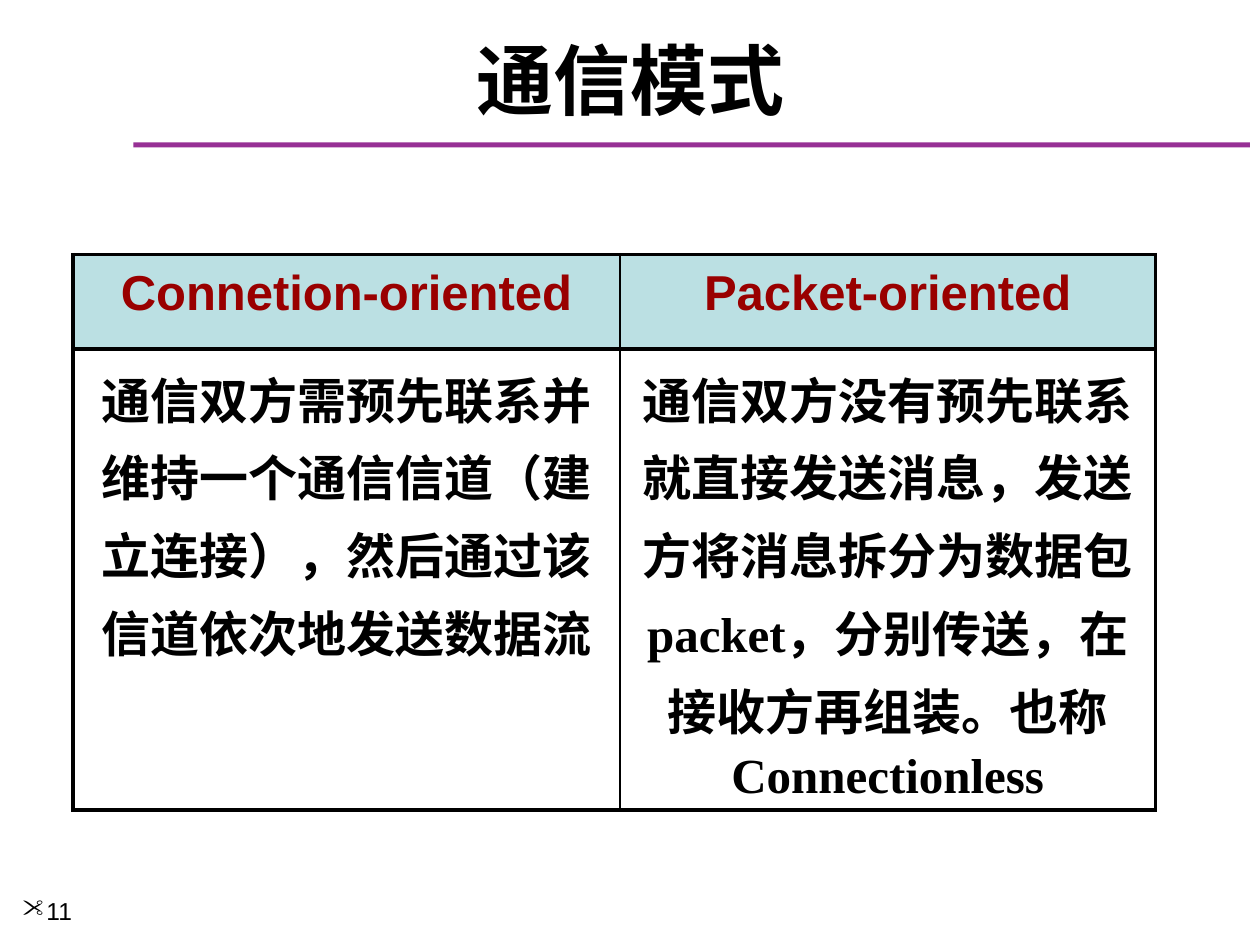
from dataclasses import dataclass

from lxml.etree import SubElement
from pptx import Presentation
from pptx.dml.color import RGBColor as Color
from pptx.enum.shapes import MSO_SHAPE as Shape
from pptx.enum.text import MSO_ANCHOR as Anchor, PP_ALIGN as Align
from pptx.oxml import parse_xml
from pptx.oxml.ns import nsdecls, qn
from pptx.util import Inches, Pt


@dataclass(frozen=True)
class Theme:
    ink: str = "000000"
    accent: str = "990000"
    rule: str = "973095"
    header: str = "BBE0E3"
    paper: str = "FFFFFF"
    sans: str = "Arial"
    serif: str = "Times New Roman"
    chinese: str = "Noto Sans CJK SC"
    title_size: int = 44
    table_size: int = 28
    number_size: int = 14
    thick: float = 2.25
    thin: float = 1


THEME = Theme()

TITLE = "通信模式"
PAGE_NUMBER = "11"
SCISSORS = '"'  # the scissors sign in Wingdings
HEADINGS = ["Connetion-oriented", "Packet-oriented"]
# Each cell is a list of (text, latin font) runs
BODIES = [
    [("通信双方需预先联系并维持一个通信信道（建立连接），然后通过该信道依次地发送数据流", THEME.sans)],
    [("通信双方没有预先联系就直接发送消息，发送方将消息拆分为数据包", THEME.sans),
     ("packet，分别传送，在接收方再组装。也称Connectionless", THEME.serif)],
]
COLUMN_WIDTHS = [4.34, 4.25]
ROW_HEIGHTS = [0.75, 3.66]


def add_span(para, text, size, color, latin=THEME.sans, bold=True):
    span = para.add_run()
    span.text = text
    span.font.size, span.font.bold, span.font.name = Pt(size), bold, latin
    span.font.color.rgb = Color.from_string(color)
    SubElement(span.font._element, qn("a:ea"), typeface=THEME.chinese)


def add_text_box(page, left, top, width, height):
    box = page.shapes.add_textbox(*map(Inches, (left, top, width, height)))
    box.text_frame.word_wrap = True
    return box.text_frame


def set_borders(cell, widths):
    """Draw the left, right, top and bottom lines, given in that order."""
    properties = cell._tc.get_or_add_tcPr()
    for index, (side, width) in enumerate(zip("LRTB", widths)):
        properties.insert(index, parse_xml(
            f'<a:ln{side} {nsdecls("a")} w="{Pt(width)}"><a:solidFill>'
            f'<a:srgbClr val="{THEME.ink}"/></a:solidFill></a:ln{side}>'))


def add_title(page):
    rule = page.shapes.add_shape(Shape.RECTANGLE, *map(Inches, (1.06, 1.13, 8.86, 0.04)))
    rule.shadow.inherit = False
    rule.fill.solid()
    rule.fill.fore_color.rgb = Color.from_string(THEME.rule)
    rule.line.fill.background()
    frame = add_text_box(page, 0.17, 0.25, 9.67, 0.75)
    frame.vertical_anchor = Anchor.MIDDLE
    para = frame.paragraphs[0]
    para.alignment = Align.CENTER
    add_span(para, TITLE, THEME.title_size, THEME.ink, THEME.chinese)


def add_page_number(page):
    para = add_text_box(page, 0.08, 7.06, 1.08, 0.44).paragraphs[0]
    properties = para._p.get_or_add_pPr()
    properties.set("marL", str(Inches(0.19)))
    properties.set("indent", str(-Inches(0.19)))
    SubElement(properties, qn("a:buFont"), typeface="Wingdings", charset="2")
    SubElement(properties, qn("a:buChar"), char=SCISSORS)
    add_span(para, PAGE_NUMBER, THEME.number_size, THEME.ink, bold=False)


def add_comparison(page):
    size = sum(COLUMN_WIDTHS), sum(ROW_HEIGHTS)
    table = page.shapes.add_table(2, 2, *map(Inches, (0.58, 2.02, *size))).table
    table.first_row = table.horz_banding = False
    for column, width in zip(table.columns, COLUMN_WIDTHS):
        column.width = Inches(width)
    for row, height in zip(table.rows, ROW_HEIGHTS):
        row.height = Inches(height)
    rows = [
        ([[(text, THEME.sans)] for text in HEADINGS], THEME.accent, THEME.header),
        (BODIES, THEME.ink, THEME.paper),
    ]
    sides = [(THEME.thick, THEME.thin), (THEME.thin, THEME.thick)]
    for row, (contents, color, fill) in zip(table.rows, rows):
        for cell, spans, side in zip(row.cells, contents, sides):
            cell.fill.solid()
            cell.fill.fore_color.rgb = Color.from_string(fill)
            set_borders(cell, (*side, THEME.thick, THEME.thick))
            para = cell.text_frame.paragraphs[0]
            para.alignment, para.line_spacing = Align.CENTER, 1.1
            for text, latin in spans:
                add_span(para, text, THEME.table_size, color, latin)


def main():
    deck = Presentation()
    deck.slide_width, deck.slide_height = Inches(10), Inches(7.5)
    page = deck.slides.add_slide(deck.slide_layouts[6])
    add_title(page)
    add_page_number(page)
    add_comparison(page)
    deck.save("out.pptx")


if __name__ == "__main__":
    main()
